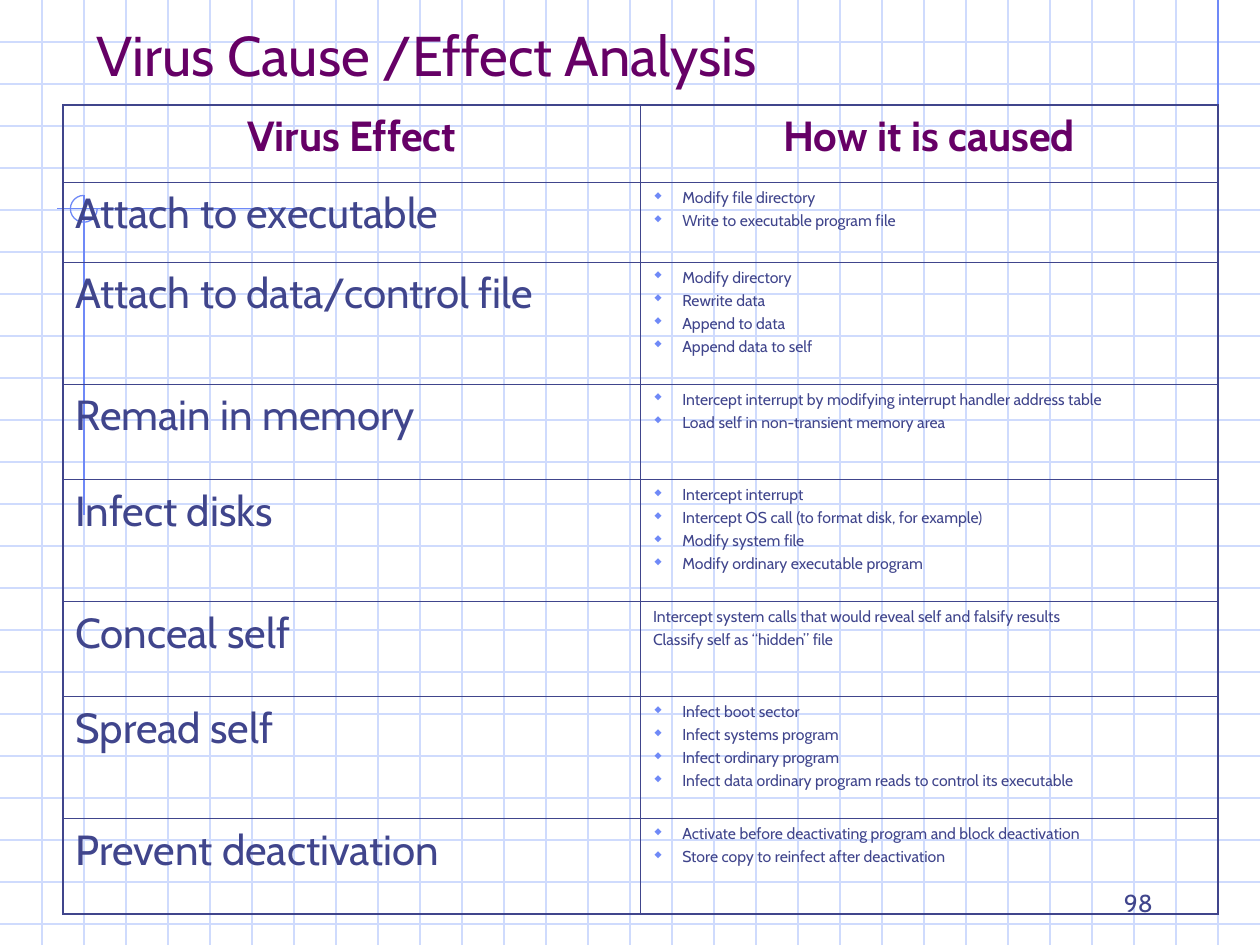
import dataclasses

import lxml.etree
import pptx
import pptx.dml.color
import pptx.enum.shapes
import pptx.enum.text
import pptx.oxml.ns
import pptx.util

Cm = pptx.util.Cm
Pt = pptx.util.Pt
Align = pptx.enum.text.PP_ALIGN
Anchor = pptx.enum.text.MSO_ANCHOR


@dataclasses.dataclass(frozen=True)
class Theme:
    font: str = "Cabin"
    bullet_font: str = "Wingdings"
    bullet: str = "w"  # the diamond of the bullet font
    heading: str = "660066"
    body: str = "40458C"
    accent: str = "6F89F7"
    grid: str = "CFDBFD"
    title_size: float = 32
    effect_size: float = 24
    cause_size: float = 9
    number_size: float = 14
    line_width: float = 0.75
    inner_border: float = 0.45
    outer_border: float = 1.08


WIDTH, HEIGHT = 25.4, 19.05
GRID_STEP = WIDTH / 30
HEADERS = ("Virus Effect", "How it is caused")
# Effect, its causes, and whether the causes are bulleted
EFFECTS = [
    ("Attach to executable",
     ["Modify file directory", "Write to executable program file"], True),
    ("Attach to data/control file",
     ["Modify directory", "Rewrite data", "Append to data", "Append data to self"], True),
    ("Remain in memory",
     ["Intercept interrupt by modifying interrupt handler address table",
      "Load self in non-transient memory area"], True),
    ("Infect disks",
     ["Intercept interrupt", "Intercept OS call (to format disk, for example)",
      "Modify system file", "Modify ordinary executable program"], True),
    ("Conceal self",
     ["Intercept system calls that would reveal self and falsify results",
      "Classify self as “hidden” file"], False),
    ("Spread self",
     ["Infect boot sector", "Infect systems program", "Infect ordinary program",
      "Infect data ordinary program reads to control its executable"], True),
    ("Prevent deactivation",
     ["Activate before deactivating program and block deactivation",
      "Store copy to reinfect after deactivation"], True),
]
ROW_HEIGHTS = [1.55, 1.61] + [2.46, 1.92] * 3


def color(value):
    return pptx.dml.color.RGBColor.from_string(value)


def add_element(parent, tag, **attributes):
    return lxml.etree.SubElement(parent, pptx.oxml.ns.qn(tag), attributes)


class SlideBuilder:
    def __init__(self, slide, theme):
        self.slide = slide
        self.theme = theme

    def format_text(self, text_frame, size, text_color, bold=False,
                    align=Align.LEFT, spacing=0):
        for index, paragraph in enumerate(text_frame.paragraphs):
            paragraph.alignment = align
            paragraph.space_before = Pt(spacing if index else 0)
            for run in paragraph.runs:
                run.font.name = self.theme.font
                run.font.size = Pt(size)
                run.font.bold = bold
                run.font.color.rgb = color(text_color)

    def add_line(self, group, start, end, line_color):
        connector = group.shapes.add_connector(
            pptx.enum.shapes.MSO_CONNECTOR.STRAIGHT,
            *(Cm(length) for length in (*start, *end)))
        connector.line.color.rgb = color(line_color)
        connector.line.width = Pt(self.theme.line_width)
        add_element(connector.element.spPr, "a:effectLst")

    def add_background(self):
        theme = self.theme
        group = self.slide.shapes.add_group_shape()
        # Squared paper
        for index in range(1, 23):
            y = index * GRID_STEP
            self.add_line(group, (0, y), (WIDTH, y), theme.grid)
        for index in range(1, 30):
            x = index * GRID_STEP
            self.add_line(group, (x, 0), (x, HEIGHT), theme.grid)
        # Accent lines and the arc around their crossing
        left, right = 2 * GRID_STEP, 29 * GRID_STEP
        self.add_line(group, (right, 0), (right, 6.55), theme.accent)
        self.add_line(group, (6.1, 4.21), (1.14, 4.21), theme.accent)
        self.add_line(group, (left, 3.94), (left, 10.39), theme.accent)
        arc = group.shapes.add_shape(pptx.enum.shapes.MSO_SHAPE.ARC,
                                     Cm(1.42), Cm(3.94), Cm(0.54), Cm(0.54))
        arc.adjustments[0], arc.adjustments[1] = 0, 162
        arc.fill.background()
        arc.line.color.rgb = color(theme.accent)
        arc.line.width = Pt(theme.line_width)
        arc.shadow.inherit = False

    def add_title(self, text, left, top, width, height):
        title = self.slide.shapes.title
        title.left, title.top = Cm(left), Cm(top)
        title.width, title.height = Cm(width), Cm(height)
        frame = title.text_frame
        frame.text = text
        frame.auto_size = pptx.enum.text.MSO_AUTO_SIZE.NONE
        frame.vertical_anchor = Anchor.BOTTOM
        self.format_text(frame, self.theme.title_size, self.theme.heading)
        # Bring the title in front of the squared paper
        self.slide.shapes.element.append(title.element)

    def add_text(self, text, left, top, width, height):
        box = self.slide.shapes.add_textbox(Cm(left), Cm(top), Cm(width), Cm(height))
        frame = box.text_frame
        frame.word_wrap = True
        frame.vertical_anchor = Anchor.BOTTOM
        frame.text = text
        self.format_text(frame, self.theme.number_size, self.theme.body, align=Align.RIGHT)

    def add_bullets(self, text_frame):
        indent = Cm(0.59)
        for paragraph in text_frame.paragraphs:
            properties = paragraph._p.get_or_add_pPr()
            properties.set("marL", str(indent))
            properties.set("indent", str(-indent))
            bullet_color = add_element(properties, "a:buClr")
            add_element(bullet_color, "a:srgbClr", val=self.theme.accent)
            add_element(properties, "a:buSzPct", val="110000")
            add_element(properties, "a:buFont", typeface=self.theme.bullet_font,
                        pitchFamily="2", charset="2")
            add_element(properties, "a:buChar", char=self.theme.bullet)

    def format_cell(self, cell, outer_sides):
        properties = cell._tc.get_or_add_tcPr()
        for side in "LRTB":
            width = self.theme.outer_border if side in outer_sides else self.theme.inner_border
            border = add_element(properties, f"a:ln{side}", w=str(Pt(width)))
            fill = add_element(border, "a:solidFill")
            add_element(fill, "a:srgbClr", val=self.theme.body)
        cell.fill.background()

    def add_table(self, left, top, width):
        theme = self.theme
        table = self.slide.shapes.add_table(
            len(ROW_HEIGHTS), len(HEADERS), Cm(left), Cm(top),
            Cm(width), Cm(sum(ROW_HEIGHTS))).table
        table.first_row = table.horz_banding = False
        for row, height in zip(table.rows, ROW_HEIGHTS):
            row.height = Cm(height)
        # Header row
        for column, header in enumerate(HEADERS):
            frame = table.cell(0, column).text_frame
            frame.text = header
            self.format_text(frame, theme.effect_size, theme.heading, True, Align.CENTER)
        # Effects and their causes
        for row, (effect, causes, bulleted) in enumerate(EFFECTS, 1):
            effect_frame = table.cell(row, 0).text_frame
            effect_frame.text = effect
            self.format_text(effect_frame, theme.effect_size, theme.body)
            cause_frame = table.cell(row, 1).text_frame
            cause_frame.text = "\n".join(causes)
            if bulleted:
                self.add_bullets(cause_frame)
            self.format_text(cause_frame, theme.cause_size, theme.body, spacing=2.2)
        # Thin inner borders and a heavier frame
        for row in range(len(ROW_HEIGHTS)):
            vertical = {0: "T", len(ROW_HEIGHTS) - 1: "B"}.get(row, "")
            for column, side in enumerate("LR"):
                self.format_cell(table.cell(row, column), side + vertical)


def main():
    presentation = pptx.Presentation()
    presentation.slide_width, presentation.slide_height = Cm(WIDTH), Cm(HEIGHT)
    title_only = presentation.slide_layouts[5]
    builder = SlideBuilder(presentation.slides.add_slide(title_only), Theme())
    builder.add_background()
    builder.add_title("Virus Cause /Effect Analysis", 1.69, 0.84, 21.59, 1.06)
    builder.add_table(1.27, 2.12, 23.28)
    builder.add_text("98", 18.2, 17.35, 5.29, 1.27)
    presentation.save("out.pptx")


if __name__ == "__main__":
    main()
